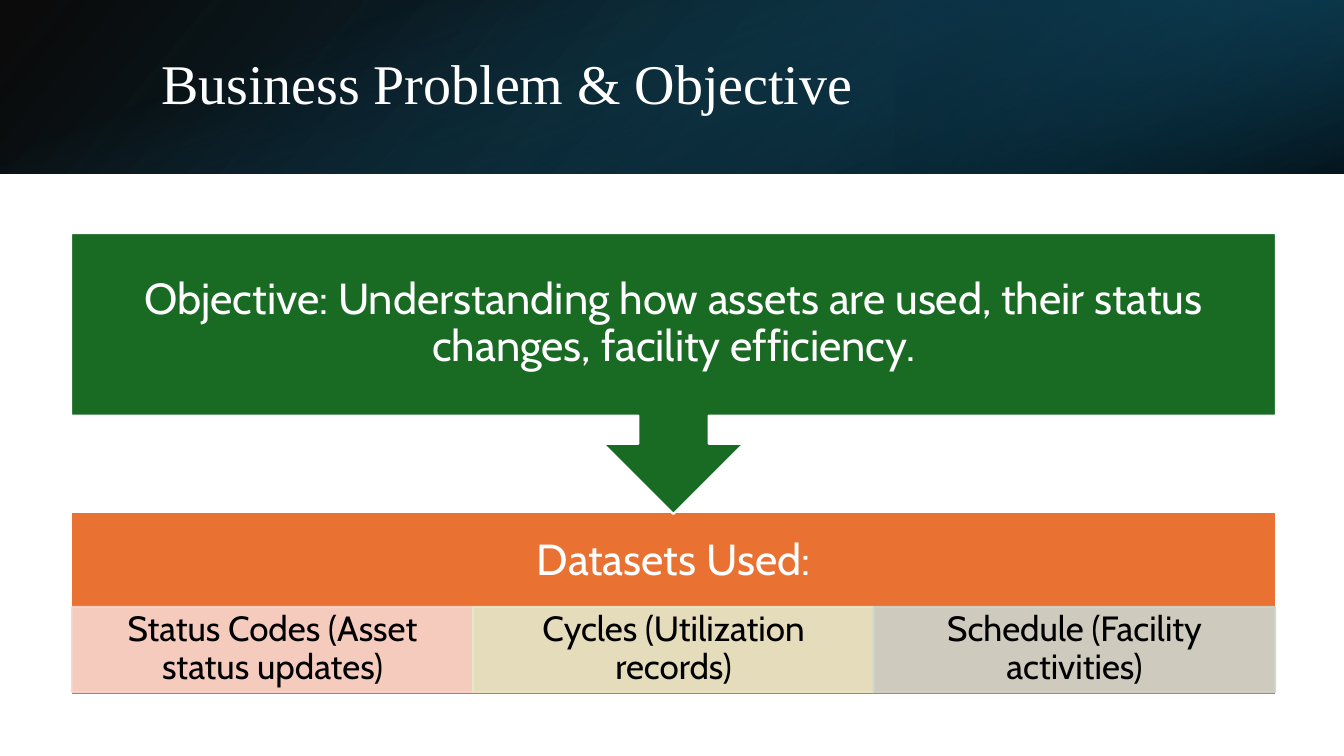
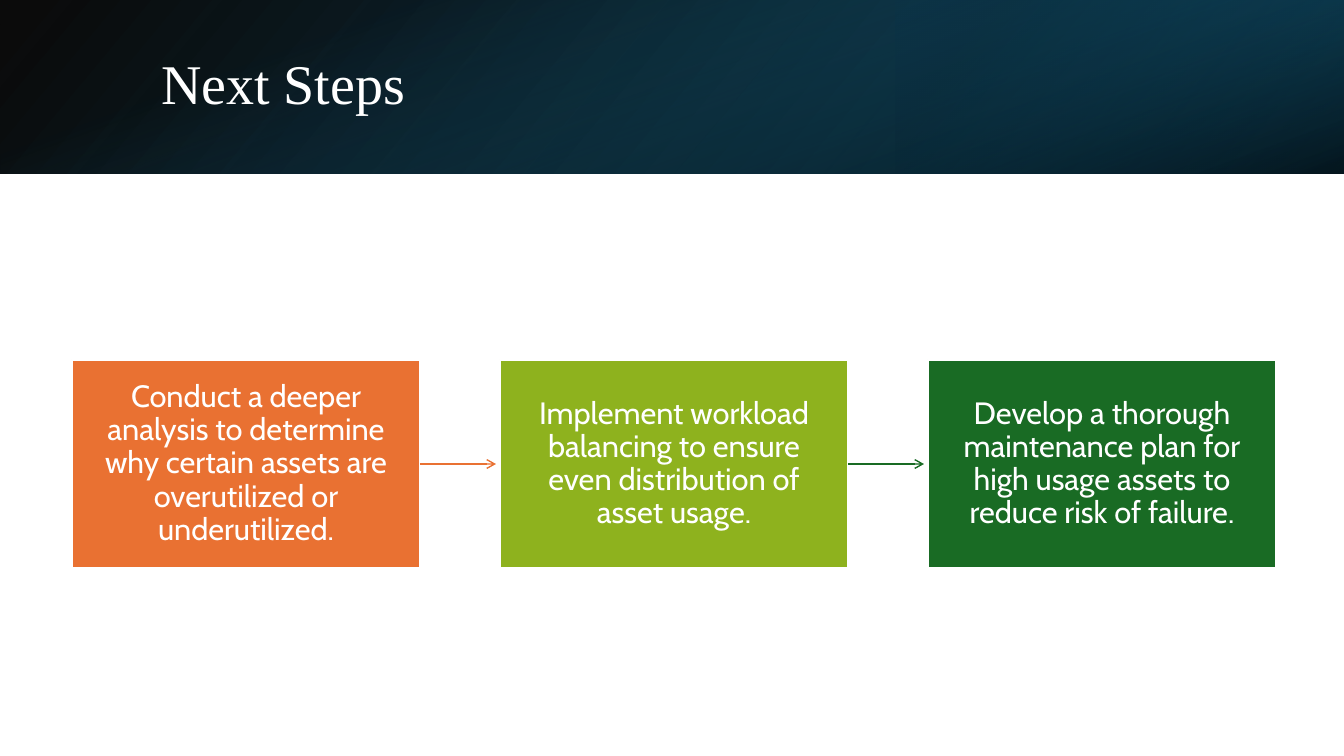
from pptx import Presentation
from pptx.dml.color import RGBColor
from pptx.enum.shapes import MSO_CONNECTOR, MSO_SHAPE
from pptx.enum.text import MSO_ANCHOR, PP_ALIGN
from pptx.oxml import parse_xml
from pptx.oxml.ns import nsdecls, qn
from pptx.util import Pt
from lxml.etree import SubElement

# Lengths are in px
SLIDE_WIDTH, SLIDE_HEIGHT = 1344, 756
EMU_PER_PX = 12192000 / SLIDE_WIDTH
BAND_HEIGHT = 174

WHITE = RGBColor(0xFF, 0xFF, 0xFF)
BLACK = RGBColor(0x00, 0x00, 0x00)
TEAL = RGBColor(0x15, 0x60, 0x82)
DEEP_TEAL = RGBColor(0x10, 0x48, 0x62)
NAVY = RGBColor(0x0B, 0x30, 0x41)
ORANGE = RGBColor(0xE9, 0x71, 0x32)
GREEN = RGBColor(0x19, 0x6B, 0x24)
LIME = RGBColor(0x8E, 0xB2, 0x1E)
PINK = RGBColor(0xF7, 0xD5, 0xCE)
CREAM = RGBColor(0xE5, 0xE8, 0xCA)
GRAY = RGBColor(0xCC, 0xD4, 0xCD)


def emu(*lengths):
    return [round(length * EMU_PER_PX) for length in lengths]


class Deck:
    title_font = "Times New Roman"
    body_font = "Cabin"

    def __init__(self):
        self.presentation = Presentation()
        self.presentation.slide_width, self.presentation.slide_height = emu(SLIDE_WIDTH, SLIDE_HEIGHT)
        self.slide = None

    def add_slide(self, title):
        self.slide = self.presentation.slides.add_slide(self.presentation.slide_layouts[6])
        # Header band: three overlaid gradients
        self.gradient((0, 0, SLIDE_WIDTH, BAND_HEIGHT), 140,
                      [(0, BLACK, 96), (100, DEEP_TEAL, 100)], flip=True)
        self.gradient((896, 0, 448, BAND_HEIGHT), 320,
                      [(19, NAVY, 68), (100, TEAL, 79)], rotation=180, flip=True)
        offset = (SLIDE_WIDTH - BAND_HEIGHT) // 2
        self.gradient((offset, -offset, BAND_HEIGHT, SLIDE_WIDTH), 340,
                      [(23, TEAL, 0), (99, BLACK, 74)], rotation=90)
        # Title
        title_box = self.slide.shapes.add_textbox(*emu(151, 38, 1107, 97))
        self.set_text(title_box, title, 40, WHITE, (10, 5, 10, 5), self.title_font, PP_ALIGN.LEFT)

    def gradient(self, bounds, angle, stops, rotation=0, flip=False):
        shape = self.slide.shapes.add_shape(MSO_SHAPE.RECTANGLE, *emu(*bounds))
        shape.shadow.inherit = False
        shape.line.fill.background()
        shape.rotation = rotation
        properties = shape._element.spPr
        if flip:
            properties.find(qn("a:xfrm")).set("flipH", "1")
        stop_xml = "".join(
            f'<a:gs pos="{position * 1000}"><a:srgbClr val="{color}">'
            f'<a:alpha val="{alpha * 1000}"/></a:srgbClr></a:gs>'
            for position, color, alpha in stops)
        shape.fill.background()
        properties.replace(properties.find(qn("a:noFill")), parse_xml(
            f'<a:gradFill {nsdecls("a")} rotWithShape="1"><a:gsLst>{stop_xml}</a:gsLst>'
            f'<a:lin ang="{angle * 60000}" scaled="0"/></a:gradFill>'))

    def set_text(self, shape, text, size, color, insets, font=body_font, alignment=PP_ALIGN.CENTER):
        frame = shape.text_frame
        frame.word_wrap = True
        frame.vertical_anchor = MSO_ANCHOR.MIDDLE
        (frame.margin_left, frame.margin_top,
         frame.margin_right, frame.margin_bottom) = emu(*insets)
        paragraph = frame.paragraphs[0]
        paragraph.text = text
        paragraph.alignment = alignment
        paragraph.line_spacing = 0.9
        paragraph.font.name = font
        paragraph.font.size = Pt(size)
        paragraph.font.color.rgb = color

    def box(self, bounds, fill, text, size, insets, color=WHITE, line=WHITE,
            kind=MSO_SHAPE.RECTANGLE, alpha=100):
        shape = self.slide.shapes.add_shape(kind, *emu(*bounds))
        shape.shadow.inherit = False
        shape.fill.solid()
        shape.fill.fore_color.rgb = fill
        shape.line.color.rgb = line
        shape.line.width = Pt(1.5)
        if alpha < 100:
            for color_element in shape._element.spPr.iter(qn("a:srgbClr")):
                SubElement(color_element, qn("a:alpha")).set("val", str(alpha * 1000))
        self.set_text(shape, text, size, color, insets)
        return shape

    def arrow(self, source, start, end, color):
        connector = self.slide.shapes.add_connector(MSO_CONNECTOR.STRAIGHT, *emu(*start, *end))
        connector.begin_connect(source, 3)
        connector.line.color.rgb = color
        connector.line.width = Pt(1)
        properties = connector._element.spPr
        SubElement(properties.find(qn("a:ln")), qn("a:tailEnd")).set("type", "arrow")
        SubElement(properties, qn("a:effectLst"))


def build_objective(deck):
    deck.add_slide("Business Problem & Objective")
    # Datasets panel: the heading sits above the cells
    deck.box((71, 512, 1205, 183), ORANGE, "Datasets Used:", 31, (24, 24, 24, 108))
    datasets = [("Status Codes (Asset status updates)", PINK),
                ("Cycles (Utilization records)", CREAM),
                ("Schedule (Facility activities)", GRAY)]
    cell_width = 401
    for index, (text, color) in enumerate(datasets):
        deck.box((72 + index * cell_width, 607, cell_width, 85), color, text, 25,
                 (19, 3, 19, 3), color=BLACK, line=color, alpha=90)
    # Objective callout pointing at the panel
    deck.box((71, 233, 1205, 281), GREEN,
             "Objective: Understanding how assets are used, their status changes, facility efficiency.",
             31, (24, 24, 24, 24), kind=MSO_SHAPE.DOWN_ARROW_CALLOUT)


def build_next_steps(deck):
    deck.add_slide("Next Steps")
    # Row of steps, each arrow stopping just short of the next box
    steps = [
        ("Conduct a deeper analysis to determine why certain assets are overutilized or underutilized.",
         ORANGE, ORANGE),
        ("Implement workload balancing to ensure even distribution of asset usage.", LIME, GREEN),
        ("Develop a thorough maintenance plan for high usage assets to reduce risk of failure.",
         GREEN, None),
    ]
    left, top, width, height, pitch = 72, 360, 348, 208, 428
    middle = top + height // 2
    for index, (text, color, arrow_color) in enumerate(steps):
        step_left = left + index * pitch
        step = deck.box((step_left, top, width, height), color, text, 22, (17, 18, 17, 18))
        if arrow_color is not None:
            deck.arrow(step, (step_left + width, middle), (step_left + pitch - 4, middle), arrow_color)


def main():
    deck = Deck()
    build_objective(deck)
    build_next_steps(deck)
    deck.presentation.save("out.pptx")


if __name__ == "__main__":
    main()
